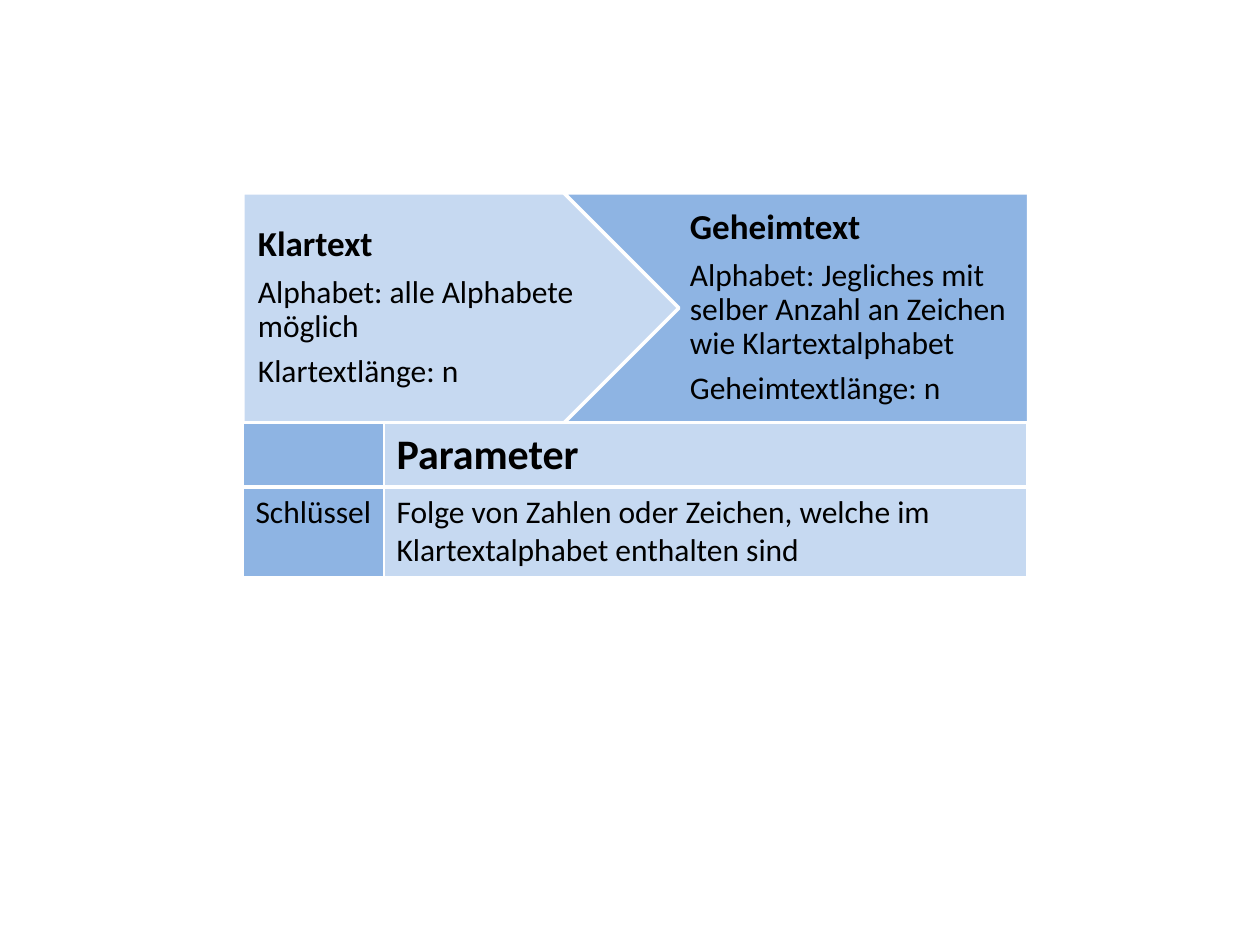
from dataclasses import dataclass

from lxml.etree import SubElement
from pptx import Presentation
from pptx.dml.color import RGBColor
from pptx.enum.shapes import MSO_SHAPE
from pptx.enum.text import MSO_ANCHOR, PP_ALIGN
from pptx.oxml.ns import qn
from pptx.util import Emu, Pt

PIXEL = 914400 // 126


@dataclass(frozen=True)
class Theme:
    """Colours, font and type sizes of the slide."""

    font: str = "Calibri"
    light: str = "C6D9F1"
    medium: str = "8EB4E3"
    white: str = "FFFFFF"
    black: str = "000000"
    heading: int = 20
    body: int = 18
    table_heading: int = 24
    outline: float = 2
    thin_border: float = 0.96
    thick_border: float = 3


@dataclass(frozen=True)
class Step:
    """One arrow of the process with its text."""

    kind: MSO_SHAPE
    left: int
    width: int
    left_inset: int
    fill: str
    heading: str
    details: tuple[str, ...]


THEME = Theme()
BAND_TOP, BAND_HEIGHT = 193, 230
COLUMN_WIDTHS = (141, 643)
ROW_HEIGHTS = (59, 52)
COLUMN_FILLS = (THEME.medium, THEME.light)
ROWS = (
    ("", "Parameter"),
    ("Schlüssel", "Folge von Zahlen oder Zeichen, welche im Klartextalphabet enthalten sind"),
)
STEPS = (
    Step(MSO_SHAPE.PENTAGON, 243, 496, 15, THEME.light, "Klartext",
         ("Alphabet: alle Alphabete möglich", "Klartextlänge: n")),
    Step(MSO_SHAPE.CHEVRON, 564, 581, 11, THEME.medium, "Geheimtext",
         ("Alphabet: Jegliches mit selber Anzahl an Zeichen wie Klartextalphabet",
          "Geheimtextlänge: n")),
)


def px(length: int) -> Emu:
    """Turn picture pixels into EMU."""
    return Emu(length * PIXEL)


def style_paragraph(para, size: int, bold: bool) -> None:
    """Set the font and left alignment of a paragraph."""
    para.alignment = PP_ALIGN.LEFT
    para.font.name = THEME.font
    para.font.size = Pt(size)
    para.font.bold = bold
    para.font.color.rgb = RGBColor.from_string(THEME.black)


def add_box(page, kind: MSO_SHAPE, left: int, top: int, width: int, height: int, fill: str):
    """Add a filled shape without shadow or outline."""
    box = page.shapes.add_shape(kind, px(left), px(top), px(width), px(height))
    box.shadow.inherit = False
    box.fill.solid()
    box.fill.fore_color.rgb = RGBColor.from_string(fill)
    box.line.fill.background()
    return box


def add_step(page, step: Step) -> None:
    """Draw one process arrow and its paragraphs."""
    box = add_box(page, step.kind, step.left, BAND_TOP, step.width, BAND_HEIGHT, step.fill)
    box.adjustments[0] = 0.5
    box.line.color.rgb = RGBColor.from_string(THEME.white)
    box.line.width = Pt(THEME.outline)
    frame = box.text_frame
    frame.word_wrap = True
    frame.vertical_anchor = MSO_ANCHOR.MIDDLE
    frame.margin_left, frame.margin_right = px(step.left_inset), px(4)
    frame.margin_top = frame.margin_bottom = px(8)
    frame.text = "\n".join((step.heading, *step.details))
    for index, para in enumerate(frame.paragraphs):
        size = THEME.body if index else THEME.heading
        style_paragraph(para, size, not index)
        para.line_spacing = 0.9
        para.space_after = Pt(size * 0.35)


def add_borders(cell, thick_side: str) -> None:
    """Give a cell white borders with one thick side."""
    properties = cell._tc.get_or_add_tcPr()
    for side in ("lnL", "lnR", "lnT", "lnB"):
        points = THEME.thick_border if side == thick_side else THEME.thin_border
        line = SubElement(properties, qn(f"a:{side}"), w=str(Pt(points)))
        SubElement(SubElement(line, qn("a:solidFill")), qn("a:srgbClr"), val=THEME.white)


def add_parameter_table(page) -> None:
    """Draw the table of parameters below the arrows."""
    table = page.shapes.add_table(
        len(ROWS), len(COLUMN_WIDTHS), px(STEPS[0].left), px(BAND_TOP + BAND_HEIGHT),
        px(sum(COLUMN_WIDTHS)), px(sum(ROW_HEIGHTS))).table
    for column, width in zip(table.columns, COLUMN_WIDTHS):
        column.width = px(width)
    for row_index, (texts, height) in enumerate(zip(ROWS, ROW_HEIGHTS)):
        table.rows[row_index].height = px(height)
        for column_index, text in enumerate(texts):
            cell = table.cell(row_index, column_index)
            cell.text = text
            heading = row_index == 0 and bool(text)
            style_paragraph(cell.text_frame.paragraphs[0],
                            THEME.table_heading if heading else THEME.body, heading)
            add_borders(cell, "lnT" if row_index else "lnB")
            cell.fill.solid()
            cell.fill.fore_color.rgb = RGBColor.from_string(COLUMN_FILLS[column_index])


def main() -> None:
    """Build and save the slide."""
    deck = Presentation()
    deck.slide_width, deck.slide_height = px(1260), px(945)
    page = deck.slides.add_slide(deck.slide_layouts[6])
    for step in STEPS:
        add_step(page, step)
    add_box(page, MSO_SHAPE.RECTANGLE, 1027, 145, 118, 307, THEME.white)
    add_parameter_table(page)
    deck.save("out.pptx")


main()
